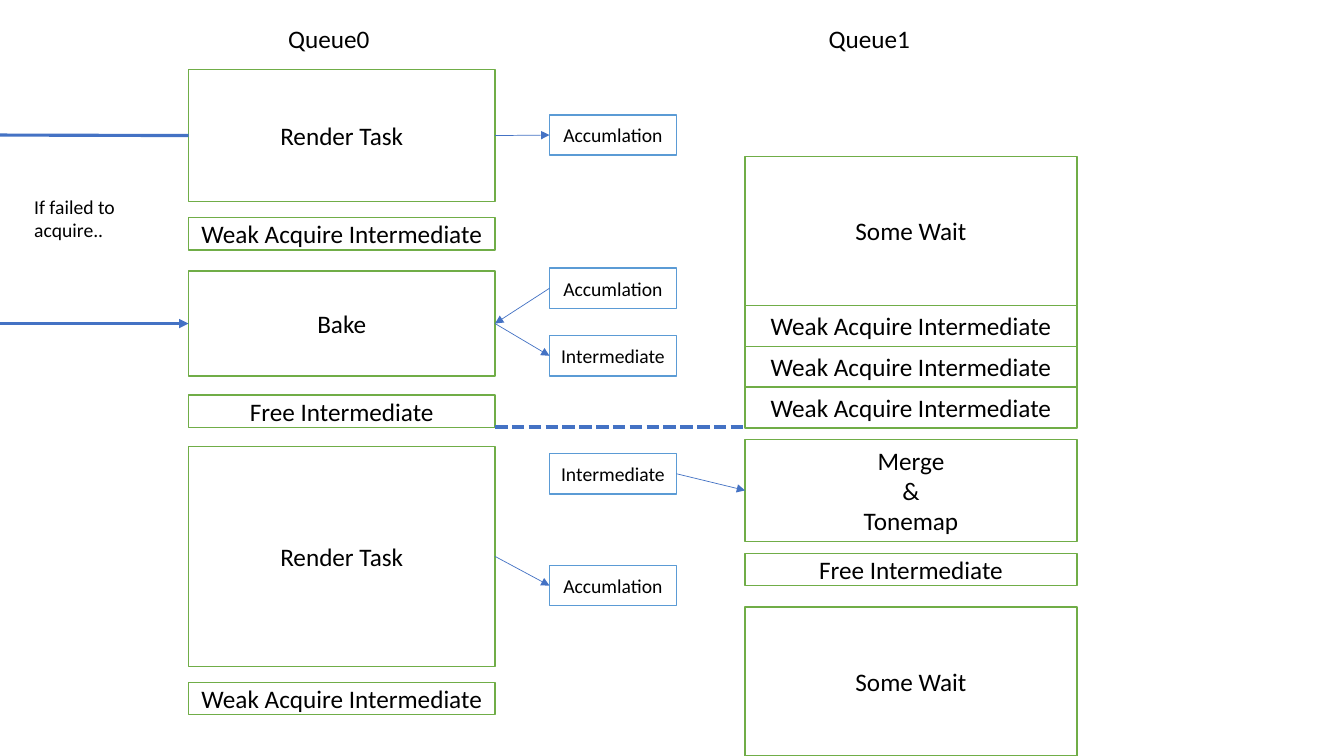
from dataclasses import dataclass
from typing import Union

import pptx
import pptx.dml.color
import pptx.enum.dml
import pptx.enum.shapes
import pptx.enum.text
import pptx.oxml.ns
import pptx.util
from lxml import etree
from pptx.util import Inches

COLORS = {
    "paper": "FFFFFF",
    "text": "000000",
    "task": "70AD47",
    "buffer": "5B9BD5",
    "link": "4472C4",
}
FONT = "Calibri"
LEFT, RIGHT = 1, 3
QUEUE0_X, QUEUE0_W = 1.87, 3.04
QUEUE1_X, QUEUE1_W = 7.39, 3.29
BUFFER_X, BUFFER_W, BUFFER_H = 5.45, 1.26, 0.4
BAR_H, WAIT_H = 0.32, 1.48
ACQUIRE_Y, ACQUIRE_H = 3.03, 0.405


@dataclass
class Box:
    key: str
    text: str
    x: float
    y: float
    w: float
    h: float
    color: str = "task"
    size: int = 18


@dataclass
class Label:
    text: str
    x: float
    y: float
    w: float
    h: float
    size: int = 18


@dataclass
class Joint:
    key: str
    site: int


@dataclass
class Point:
    x: float
    y: float


@dataclass
class Link:
    begin: Union[Joint, Point]
    end: Union[Joint, Point]
    width: float = 0.5
    arrow: bool = True
    dashed: bool = False


def queue0(key: str, text: str, y: float, h: float) -> Box:
    return Box(key, text, QUEUE0_X, y, QUEUE0_W, h)


def queue1(key: str, text: str, y: float, h: float) -> Box:
    return Box(key, text, QUEUE1_X, y, QUEUE1_W, h)


def buffer(key: str, text: str, y: float) -> Box:
    return Box(key, text, BUFFER_X, y, BUFFER_W, BUFFER_H, "buffer", 14)


BOXES = [
    queue0("render 1", "Render Task", 0.69, 1.31),
    queue0("acquire 1", "Weak Acquire Intermediate", 2.16, BAR_H),
    queue0("bake", "Bake", 2.69, 1.04),
    queue0("free 0", "Free Intermediate", 3.92, BAR_H),
    queue0("render 2", "Render Task", 4.43, 2.18),
    queue0("acquire 2", "Weak Acquire Intermediate", 6.77, BAR_H),
    buffer("render 1 output", "Accumlation", 1.14),
    buffer("bake input", "Accumlation", 2.66),
    buffer("bake output", "Intermediate", 3.33),
    buffer("merge input", "Intermediate", 4.5),
    buffer("render 2 output", "Accumlation", 5.61),
    queue1("wait 1", "Some Wait", 1.55, WAIT_H),
    *[
        queue1(f"retry {i}", "Weak Acquire Intermediate", ACQUIRE_Y + i * ACQUIRE_H, ACQUIRE_H)
        for i in range(3)
    ],
    queue1("merge", "Merge\n&\nTonemap", 4.36, 1.01),
    queue1("free 1", "Free Intermediate", 5.49, BAR_H),
    queue1("wait 2", "Some Wait", 6.02, WAIT_H),
]

LABELS = [
    Label("Queue0", 2.76, 0.18, 1.05, 0.4),
    Label("Queue1", 8.12, 0.18, 1.05, 0.4),
    Label("If failed to\nacquire..", 0.24, 1.88, 1.08, 0.57, 14),
]

LINKS = [
    Link(Joint("render 1", RIGHT), Joint("render 1 output", LEFT)),
    Link(Joint("bake input", LEFT), Joint("bake", RIGHT)),
    Link(Joint("bake", RIGHT), Joint("bake output", LEFT)),
    Link(Joint("merge input", RIGHT), Joint("merge", LEFT)),
    Link(Joint("render 2", RIGHT), Joint("render 2 output", LEFT)),
    Link(Joint("render 1", LEFT), Point(0, 1.34), 2.25, arrow=False),
    Link(Point(0, 3.21), Joint("bake", LEFT), 2.25),
    Link(Point(QUEUE0_X + QUEUE0_W, 4.24), Point(QUEUE1_X, 4.24), 3, arrow=False, dashed=True),
]


def rgb(name: str) -> pptx.dml.color.RGBColor:
    return pptx.dml.color.RGBColor.from_string(COLORS[name])


def write(tf, text: str, size: int, align) -> None:
    tf.text = text
    tf.word_wrap = True
    for p in tf.paragraphs:
        p.alignment = align
        for r in p.runs:
            r.font.name = FONT
            r.font.size = pptx.util.Pt(size)
            r.font.color.rgb = rgb("text")


def draw_box(s, box: Box):
    sp = s.shapes.add_shape(
        pptx.enum.shapes.MSO_SHAPE.RECTANGLE,
        Inches(box.x), Inches(box.y), Inches(box.w), Inches(box.h),
    )
    sp.shadow.inherit = False
    sp.fill.solid()
    sp.fill.fore_color.rgb = rgb("paper")
    sp.line.color.rgb = rgb(box.color)
    sp.line.width = pptx.util.Pt(1)
    sp.text_frame.vertical_anchor = pptx.enum.text.MSO_ANCHOR.MIDDLE
    write(sp.text_frame, box.text, box.size, pptx.enum.text.PP_ALIGN.CENTER)
    return sp


def draw_label(s, label: Label) -> None:
    sp = s.shapes.add_textbox(
        Inches(label.x), Inches(label.y), Inches(label.w), Inches(label.h)
    )
    write(sp.text_frame, label.text, label.size, pptx.enum.text.PP_ALIGN.LEFT)


def draw_link(s, link: Link, boxes: dict) -> None:
    c = s.shapes.add_connector(pptx.enum.shapes.MSO_CONNECTOR.STRAIGHT, 0, 0, 0, 0)
    if isinstance(link.begin, Joint):
        c.begin_connect(boxes[link.begin.key], link.begin.site)
    else:
        c.begin_x, c.begin_y = Inches(link.begin.x), Inches(link.begin.y)
    if isinstance(link.end, Joint):
        c.end_connect(boxes[link.end.key], link.end.site)
    else:
        c.end_x, c.end_y = Inches(link.end.x), Inches(link.end.y)
    c.line.color.rgb = rgb("link")
    c.line.width = pptx.util.Pt(link.width)
    if link.dashed:
        c.line.dash_style = pptx.enum.dml.MSO_LINE.SQUARE_DOT
    qn = pptx.oxml.ns.qn
    props = c._element.spPr
    if link.arrow:
        etree.SubElement(props.find(qn("a:ln")), qn("a:tailEnd"), type="triangle")
    etree.SubElement(props, qn("a:effectLst"))


def main() -> None:
    prs = pptx.Presentation()
    prs.slide_width, prs.slide_height = Inches(13.33), Inches(7.5)
    s = prs.slides.add_slide(prs.slide_layouts[6])
    boxes = {box.key: draw_box(s, box) for box in BOXES}
    for label in LABELS:
        draw_label(s, label)
    for link in LINKS:
        draw_link(s, link, boxes)
    prs.save("out.pptx")


if __name__ == "__main__":
    main()
